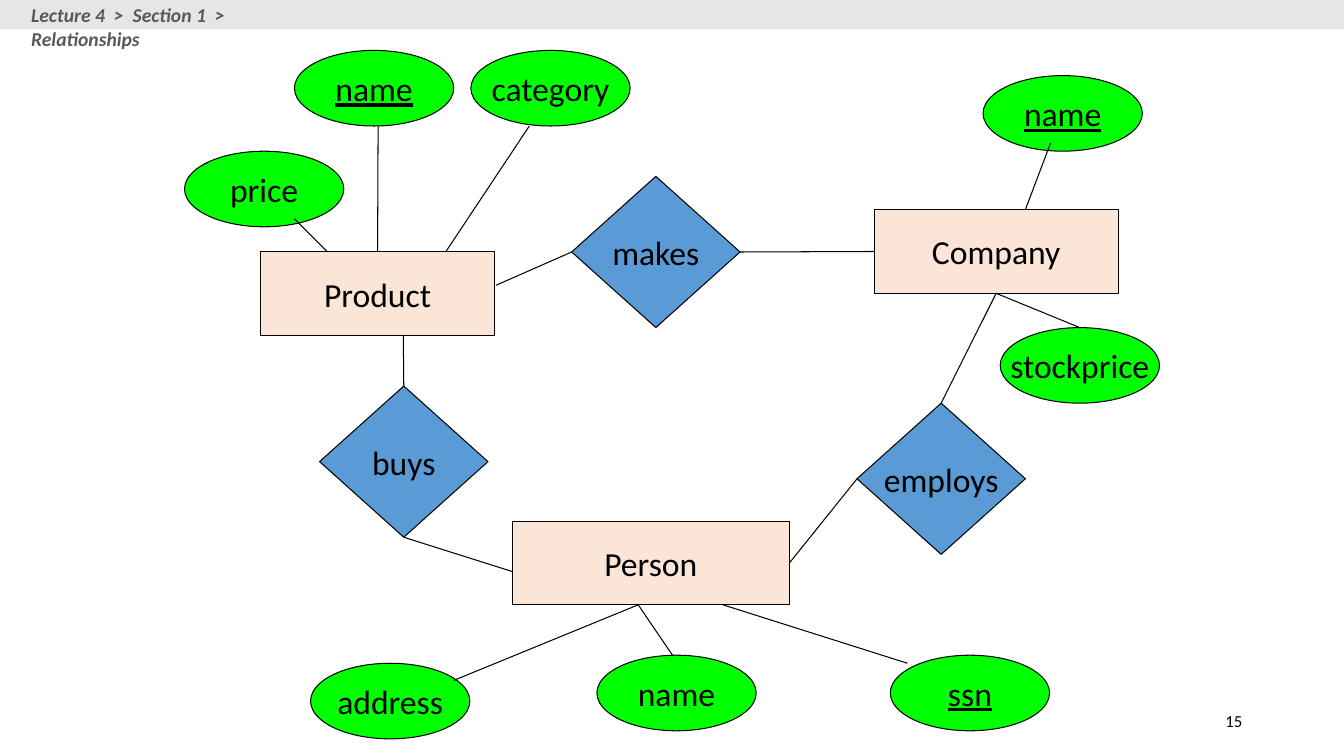
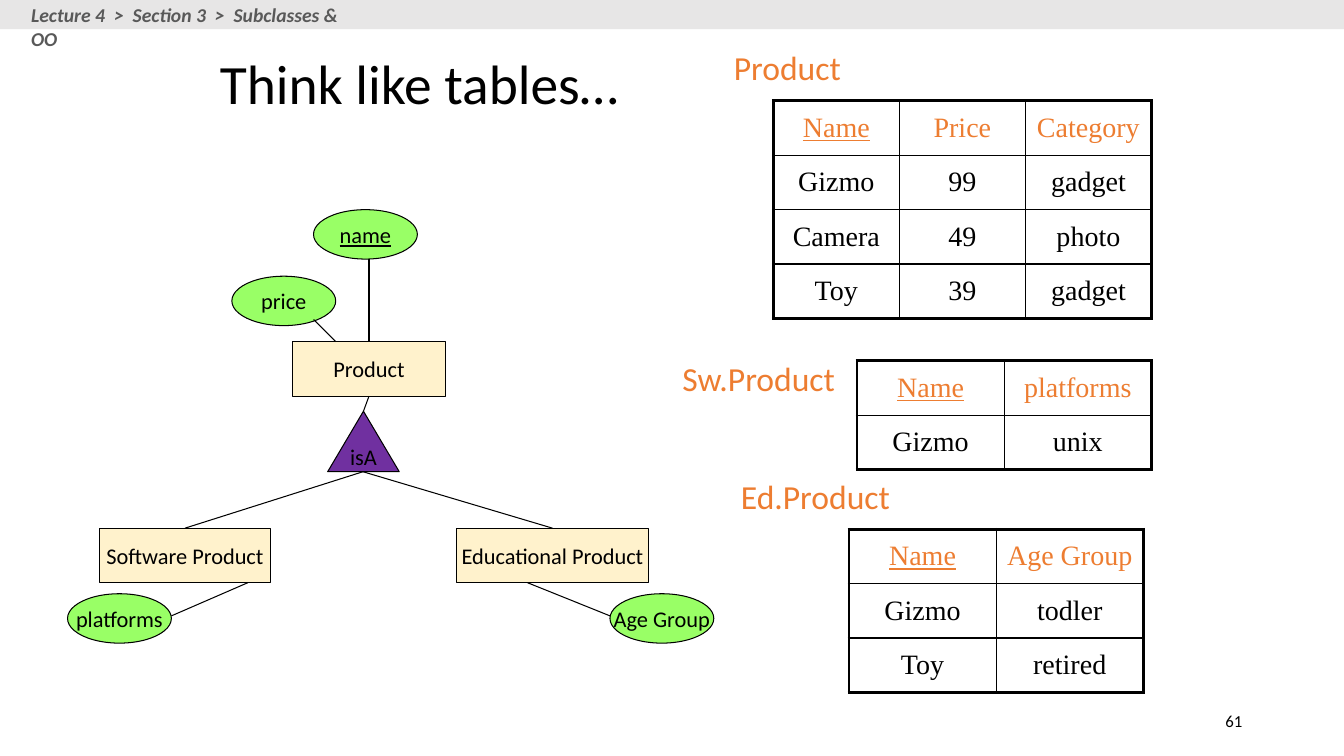
from lxml import etree
from pptx import Presentation
from pptx.dml.color import RGBColor
from pptx.enum.shapes import MSO_CONNECTOR, MSO_SHAPE
from pptx.enum.text import MSO_ANCHOR, MSO_AUTO_SIZE, PP_ALIGN
from pptx.oxml.ns import qn
from pptx.util import Inches, Pt

RECT, OVAL = MSO_SHAPE.RECTANGLE, MSO_SHAPE.OVAL
DIAMOND, TRIANGLE = MSO_SHAPE.DIAMOND, MSO_SHAPE.ISOSCELES_TRIANGLE
STRAIGHT = MSO_CONNECTOR.STRAIGHT
LEFT, CENTER, RIGHT = PP_ALIGN.LEFT, PP_ALIGN.CENTER, PP_ALIGN.RIGHT
TOP_ANCHOR, MIDDLE = MSO_ANCHOR.TOP, MSO_ANCHOR.MIDDLE
TOP, WEST, BOTTOM, EAST = range(4)

WIDTH, HEIGHT = 13.33, 7.5
BLACK, GRAY, BAND, ORANGE = "000000", "595959", "E7E6E6", "ED7D31"
THIN, THICK = 1, 2.25
ROW_HEIGHT = 0.54

# Kind of node: preset, fill, width, height
COMPANY_KINDS = {
    "entity": (RECT, "FBE5D6", 2.42, 0.83),
    "relation": (DIAMOND, "5B9BD5", 1.67, 1.5),
    "attribute": (OVAL, "00FF00", 1.58, 0.75),
}
SUBCLASS_KINDS = {
    "entity": (RECT, "FFF2CC", 1.52, 0.54),
    "isa": (TRIANGLE, "7030A0", 0.71, 0.6),
    "attribute": (OVAL, "99FF66", 1.03, 0.49),
}

# Node: kind, label, left, top, then options (own width, key attribute)
COMPANY_NODES = {
    "person": ("entity", "Person", 5.08, 5.17, {"width": 2.75}),
    "company": ("entity", "Company", 8.67, 2.08, {}),
    "product": ("entity", "Product", 2.58, 2.5, {"width": 2.33}),
    "buys": ("relation", "buys", 3.17, 3.83, {}),
    "makes": ("relation", "makes", 5.67, 1.75, {}),
    "employs": ("relation", "employs", 8.5, 4, {}),
    "product name": ("attribute", "name", 2.92, 0.5, {"key": True}),
    "category": ("attribute", "category", 4.67, 0.5, {}),
    "price": ("attribute", "price", 1.83, 1.5, {}),
    "address": ("attribute", "address", 3.08, 6.58, {}),
    "person name": ("attribute", "name", 5.92, 6.5, {}),
    "ssn": ("attribute", "ssn", 8.83, 6.5, {"key": True}),
    "stockprice": ("attribute", "stockprice", 9.92, 3.25, {}),
    "company name": ("attribute", "name", 9.75, 0.75, {"key": True}),
}
SUBCLASS_NODES = {
    "product": ("entity", "Product", 2.9, 3.39, {}),
    "name": ("attribute", "name", 3.11, 2.08, {"key": True}),
    "price": ("attribute", "price", 2.3, 2.74, {}),
    "isa": ("isa", "isA", 3.25, 4.08, {}),
    "educational": ("entity", "Educational Product", 4.53, 5.24, {"width": 1.9}),
    "software": ("entity", "Software Product", 0.99, 5.24, {"width": 1.69}),
    "age group": ("attribute", "Age Group", 6.05, 5.89, {}),
    "platforms": ("attribute", "platforms", 0.67, 5.89, {}),
}

# Link end: (node, side) where it is joined, otherwise (x, y)
COMPANY_LINKS = [
    (("makes", EAST), ("company", WEST)),
    (("makes", WEST), (4.92, 2.83)),
    (("buys", TOP), (4, 3.33)),
    (("buys", BOTTOM), (5.08, 5.67)),
    (("employs", WEST), ("person", EAST)),
    (("employs", TOP), ("company", BOTTOM)),
    (("company", BOTTOM), ("stockprice", TOP)),
    ((3.25, 2.5), (2.92, 2.17)),
    (("product", TOP), (3.75, 1.25)),
    ((4.42, 2.5), (5.25, 1.25)),
    ((6.33, 6), (4.5, 6.75)),
    ((6.33, 6), (6.67, 6.5)),
    ((7.17, 6), (9, 6.58)),
    ((10.17, 2.08), (10.42, 1.42)),
]
SUBCLASS_LINKS = [
    ((3.33, 3.39), (3.11, 3.17)),
    (("product", TOP), (3.66, 2.57)),
    ((2.46, 5.78), (1.7, 6.11)),
    ((5.23, 5.78), (6.05, 6.11)),
    (("software", TOP), (3.6, 4.68)),
    (("educational", TOP), (3.6, 4.68)),
    (("isa", TOP), ("product", BOTTOM)),
]

# Relation: caption, caption place, table place, column width, rows
RELATIONS = [
    ("Product", (7.18, 0.42), (7.67, 1), 1.25,
     [("Name", "Price", "Category"), ("Gizmo", "99", "gadget"),
      ("Camera", "49", "photo"), ("Toy", "39", "gadget")]),
    ("Sw.Product", (6.67, 3.5), (8.5, 3.58), 1.46,
     [("Name", "platforms"), ("Gizmo", "unix")]),
    ("Ed.Product", (7.25, 4.67), (8.42, 5.25), 1.46,
     [("Name", "Age Group"), ("Gizmo", "todler"), ("Toy", "retired")]),
]


def color(hex_code):
    return RGBColor.from_string(hex_code)


def inches(*lengths):
    return [Inches(length) for length in lengths]


def write(frame, text, size, ink=BLACK, font="Calibri", align=LEFT, bold=False,
          italic=False, underline=False, spacing=None):
    paragraph = frame.paragraphs[0]
    paragraph.alignment = align
    paragraph.line_spacing = spacing
    run = paragraph.add_run()
    run.text = text
    run.font.name, run.font.size = font, Pt(size)
    run.font.bold, run.font.italic, run.font.underline = bold, italic, underline
    run.font.color.rgb = color(ink)


def add_label(slide, text, box, size, anchor=TOP_ANCHOR, **style):
    frame = slide.shapes.add_textbox(*inches(*box)).text_frame
    frame.word_wrap = True
    frame.vertical_anchor = anchor
    write(frame, text, size, **style)


def add_block(slide, preset, box, fill, outlined=True):
    block = slide.shapes.add_shape(preset, *inches(*box))
    block.shadow.inherit = False
    block.fill.solid()
    block.fill.fore_color.rgb = color(fill)
    if outlined:
        block.line.color.rgb = color(BLACK)
        block.line.width = Pt(0.75)
    else:
        block.line.fill.background()
    return block


def add_frame(slide, trail, trail_width, number):
    """Add the top band, the breadcrumb trail and the page number."""
    add_block(slide, RECT, (0, 0, WIDTH, 0.29), BAND, outlined=False)
    add_label(slide, "  >  ".join(trail), (0.21, -0.02, trail_width, 0.34), 14,
              ink=GRAY, bold=True, italic=True)
    add_label(slide, number, (9.42, 6.95, 3, 0.4), 12, anchor=MIDDLE, align=RIGHT)


def add_link(slide, nodes, ends):
    joined = [isinstance(end[0], str) for end in ends]
    points = [(0, 0) if join else end for join, end in zip(joined, ends)]
    link = slide.shapes.add_connector(STRAIGHT, *inches(*points[0], *points[1]))
    link.line.color.rgb = color(BLACK)
    link.line.width = Pt(0.75)
    etree.SubElement(link._element.spPr, qn("a:effectLst"))
    for connect, join, end in zip((link.begin_connect, link.end_connect), joined, ends):
        if join:
            connect(nodes[end[0]], end[1])


def add_diagram(slide, kinds, contents, links, size):
    nodes = {}
    for node, (kind, label, left, top, options) in contents.items():
        preset, fill, width, height = kinds[kind]
        box = (left, top, options.get("width", width), height)
        nodes[node] = add_block(slide, preset, box, fill)
        frame = nodes[node].text_frame
        frame.word_wrap = False
        frame.vertical_anchor = MIDDLE
        write(frame, label, size, align=CENTER, underline=options.get("key", False))
    for ends in links:
        add_link(slide, nodes, ends)


def set_borders(cell, widths):
    """Draw black cell borders; widths maps L, R, T and B to points."""
    properties = cell._tc.get_or_add_tcPr()
    for place, (side, width) in enumerate(widths.items()):
        border = etree.Element(qn(f"a:ln{side}"), w=str(Pt(width)))
        ink = etree.SubElement(border, qn("a:solidFill"))
        etree.SubElement(ink, qn("a:srgbClr"), val=BLACK)
        properties.insert(place, border)


def add_relation(slide, caption, caption_at, table_at, column_width, rows):
    add_label(slide, caption, (*caption_at, 1.8, 0.5), 24, ink=ORANGE)
    row_count, column_count = len(rows), len(rows[0])
    size = (column_count * column_width, row_count * ROW_HEIGHT)
    table = slide.shapes.add_table(row_count, column_count,
                                   *inches(*table_at, *size)).table
    table.first_row = table.horz_banding = False
    for r, values in enumerate(rows):
        for c, value in enumerate(values):
            cell = table.cell(r, c)
            cell.vertical_anchor = MIDDLE
            cell.fill.background()
            outer = {"L": c == 0, "R": c == column_count - 1,
                     "T": r == 0, "B": r == row_count - 1}
            set_borders(cell, {side: THICK if edge else THIN
                               for side, edge in outer.items()})
            write(cell.text_frame, value, 20, ink=BLACK if r else ORANGE,
                  font="Times New Roman", align=CENTER, underline=r == c == 0)


def add_title(slide, text):
    title = slide.shapes.title
    title.left, title.top, title.width, title.height = inches(2.08, 0.32, 5.25, 1.08)
    frame = title.text_frame
    frame.auto_size = MSO_AUTO_SIZE.NONE
    frame.vertical_anchor = MIDDLE
    write(frame, text, 39.6, spacing=0.9)


def main():
    deck = Presentation()
    deck.slide_width, deck.slide_height = inches(WIDTH, HEIGHT)
    title_only, blank = deck.slide_layouts[5], deck.slide_layouts[6]

    company = deck.slides.add_slide(blank)
    add_diagram(company, COMPANY_KINDS, COMPANY_NODES, COMPANY_LINKS, 24)
    add_frame(company, ("Lecture 4", "Section 1", "Relationships"), 3.23, "15")

    subclasses = deck.slides.add_slide(title_only)
    add_title(subclasses, "Think like tables…")
    add_diagram(subclasses, SUBCLASS_KINDS, SUBCLASS_NODES, SUBCLASS_LINKS, 16)
    for relation in RELATIONS:
        add_relation(subclasses, *relation)
    add_frame(subclasses, ("Lecture 4", "Section 3", "Subclasses & OO"), 3.49, "61")

    deck.save("out.pptx")


if __name__ == "__main__":
    main()
